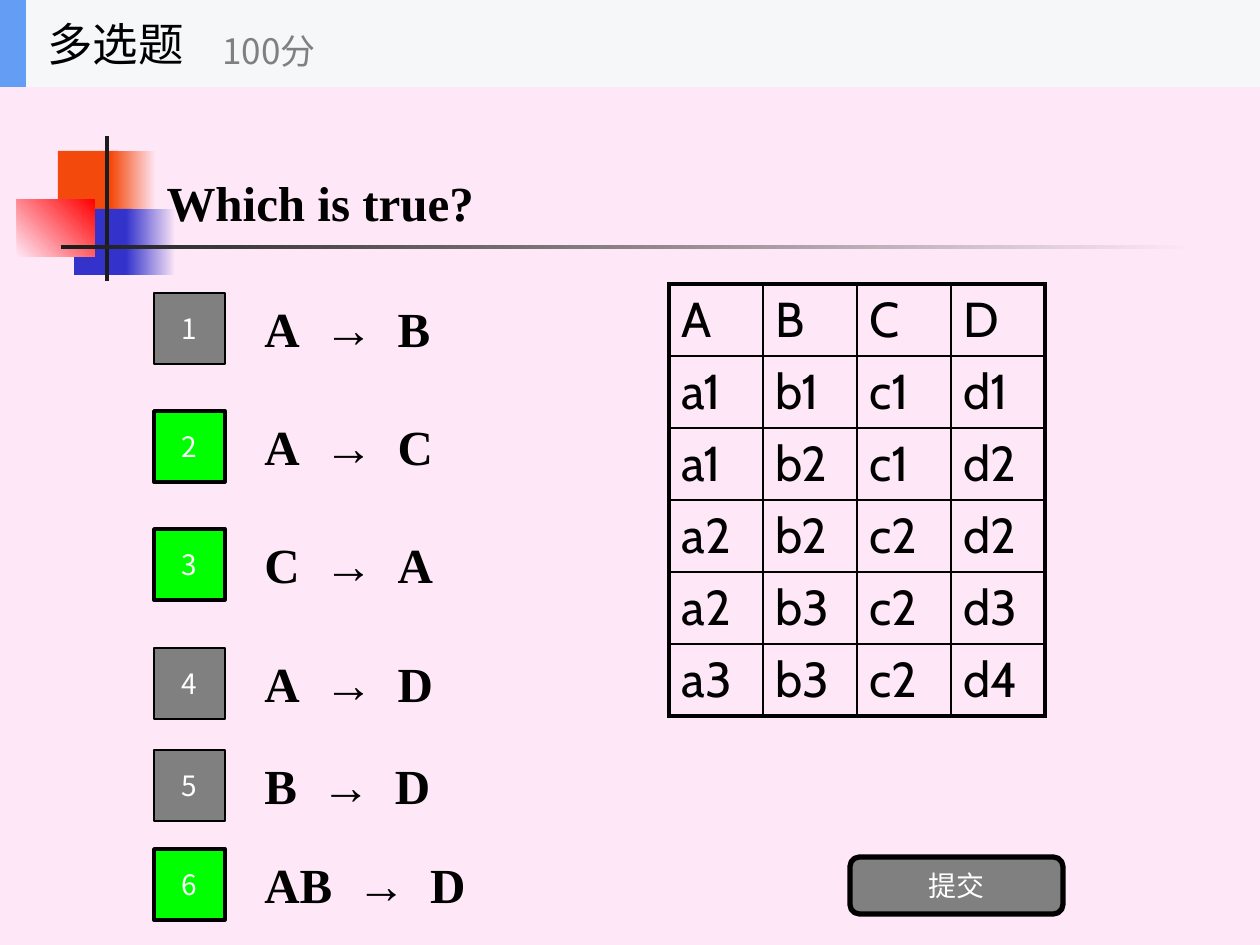
from dataclasses import dataclass

from lxml import etree
from pptx import Presentation
from pptx.dml.color import RGBColor
from pptx.enum.shapes import MSO_SHAPE
from pptx.enum.text import MSO_ANCHOR, PP_ALIGN
from pptx.oxml.ns import qn
from pptx.util import Emu, Pt

RECTANGLE = MSO_SHAPE.RECTANGLE
ROUNDED = MSO_SHAPE.ROUNDED_RECTANGLE
MIDDLE = MSO_ANCHOR.MIDDLE
LEFT, CENTER = PP_ALIGN.LEFT, PP_ALIGN.CENTER


@dataclass(frozen=True)
class Theme:
    pink: str = "FEE8F7"
    orange: str = "F4490C"
    indigo: str = "3333CC"
    red: str = "FF0000"
    ink: str = "1C1C1C"
    black: str = "000000"
    white: str = "FFFFFF"
    gray: str = "808080"
    green: str = "00FF00"
    bar: str = "F6F7F8"
    accent: str = "639EF4"
    serif: str = "Times New Roman"
    sans: str = "Cabin"
    chinese: str = "Noto Sans CJK SC"
    large: int = 28
    heading: int = 26
    score: int = 20
    label: int = 16
    gap: int = 7


THEME = Theme()
SLIDE = (1260, 945)
QUESTION = "Which is true?"
OPTIONS = [
    ("A", "B", False, 284),
    ("A", "C", True, 402),
    ("C", "A", True, 520),
    ("A", "D", False, 639),
    ("B", "D", False, 741),
    ("AB", "D", True, 840),
]
RELATION = [
    ("A", "B", "C", "D"),
    ("a1", "b1", "c1", "d1"),
    ("a1", "b2", "c1", "d2"),
    ("a2", "b2", "c2", "d2"),
    ("a2", "b3", "c2", "d3"),
    ("a3", "b3", "c2", "d4"),
]
ORNAMENTS = [
    ((58, 151, 60, 66), (THEME.orange,), 0),
    ((111, 151, 45, 66), (THEME.orange, THEME.pink), 0),
    ((74, 209, 58, 66), (THEME.indigo,), 0),
    ((126, 209, 50, 66), (THEME.indigo, THEME.pink), 0),
    ((17, 199, 78, 58), (THEME.pink, THEME.red), 45),
    ((105, 136, 4, 145), (THEME.ink,), 0),
    ((61, 245, 1134, 4), (THEME.ink, THEME.pink), 0),
]
HEADER = [
    ((0, 0, 1260, 87), (THEME.bar,), 0),
    ((0, 0, 26, 87), (THEME.accent,), 0),
]
HEADER_TEXT = [
    ("多选题", (35, 0, 262, 87), THEME.heading, THEME.black),
    ("100分", (210, 15, 315, 71), THEME.score, THEME.gray),
]


def px(length):
    return Emu(round(length * 914400 / 126))


def place(frame):
    return [px(length) for length in frame]


def add_span(para, text, size, font, color, bold=False):
    span = para.add_run()
    span.text = text
    span.font.size = Pt(size)
    span.font.bold = bold
    span.font.color.rgb = RGBColor.from_string(color)
    span.font.name = font
    properties = span._r.get_or_add_rPr()
    etree.SubElement(properties, qn("a:ea")).set("typeface", font)
    return properties


def add_block(page, frame, colors, angle=0, line=None, kind=RECTANGLE):
    box = page.shapes.add_shape(kind, *place(frame))
    box.shadow.inherit = False
    if len(colors) == 1:
        box.fill.solid()
        box.fill.fore_color.rgb = RGBColor.from_string(colors[0])
    else:
        box.fill.gradient()
        box.fill.gradient_angle = angle
        for stop, color in zip(box.fill.gradient_stops, colors):
            stop.color.rgb = RGBColor.from_string(color)
    if line:
        box.line.color.rgb = RGBColor.from_string(THEME.black)
        box.line.width = Pt(line)
    else:
        box.line.fill.background()
    return box


def add_button(page, frame, text, color, line, kind=RECTANGLE):
    box = add_block(page, frame, (color,), line=line, kind=kind)
    box.text_frame.vertical_anchor = MIDDLE
    para = box.text_frame.paragraphs[0]
    para.alignment = CENTER
    add_span(para, text, THEME.label, THEME.chinese, THEME.white)


def add_text(page, frame, wrap=True):
    box = page.shapes.add_textbox(*place(frame))
    box.text_frame.word_wrap = wrap
    box.text_frame.vertical_anchor = MIDDLE
    return box.text_frame.paragraphs[0]


def add_title(page):
    title = page.shapes.title
    title.element.getparent().append(title.element)
    title.left, title.top, title.width, title.height = place((154, 54, 1008, 295))
    title.text_frame.vertical_anchor = MIDDLE
    para = title.text_frame.paragraphs[0]
    para.alignment = LEFT
    add_span(para, QUESTION, THEME.large, THEME.serif, THEME.black, True)


def add_option(page, number, source, target, correct, top):
    para = add_text(page, (252, top, 882, 88))
    for text in (source, " ", "→", " ", target):
        properties = add_span(para, text, THEME.large, THEME.serif, THEME.black, True)
        if text == " ":
            properties.set("spc", str(THEME.gap * 100))
    color, line = (THEME.green, 2) if correct else (THEME.gray, 1)
    add_button(page, (154, top + 9, 71, 71), str(number), color, line)


def add_border(cell, side, width):
    edge = etree.SubElement(cell._tc.get_or_add_tcPr(), qn(f"a:ln{side}"))
    edge.set("w", str(Pt(width)))
    paint = etree.SubElement(edge, qn("a:solidFill"))
    etree.SubElement(paint, qn("a:srgbClr")).set("val", THEME.black)


def add_relation(page):
    rows, columns = len(RELATION), len(RELATION[0])
    frame = (669, 284, columns * 94, rows * 72)
    table = page.shapes.add_table(rows, columns, *place(frame)).table
    table.first_row = table.horz_banding = False
    for row, values in enumerate(RELATION):
        for column, value in enumerate(values):
            cell = table.cell(row, column)
            outer = {
                "L": column == 0,
                "R": column == columns - 1,
                "T": row == 0,
                "B": row == rows - 1,
            }
            for side, is_outer in outer.items():
                add_border(cell, side, 2.25 if is_outer else 1)
            cell.fill.background()
            para = cell.text_frame.paragraphs[0]
            add_span(para, value, THEME.large, THEME.sans, THEME.black)


def main():
    deck = Presentation()
    deck.slide_width, deck.slide_height = place(SLIDE)
    page = deck.slides.add_slide(deck.slide_layouts[5])
    page.background.fill.solid()
    page.background.fill.fore_color.rgb = RGBColor.from_string(THEME.pink)
    for frame, colors, angle in ORNAMENTS:
        add_block(page, frame, colors, angle)
    add_title(page)
    for number, option in enumerate(OPTIONS, 1):
        add_option(page, number, *option)
    add_button(page, (850, 857, 213, 57), "提交", THEME.gray, 3, ROUNDED)
    add_relation(page)
    for frame, colors, angle in HEADER:
        add_block(page, frame, colors, angle)
    for text, frame, size, color in HEADER_TEXT:
        add_span(add_text(page, frame, False), text, size, THEME.chinese, color)
    deck.save("out.pptx")


if __name__ == "__main__":
    main()
